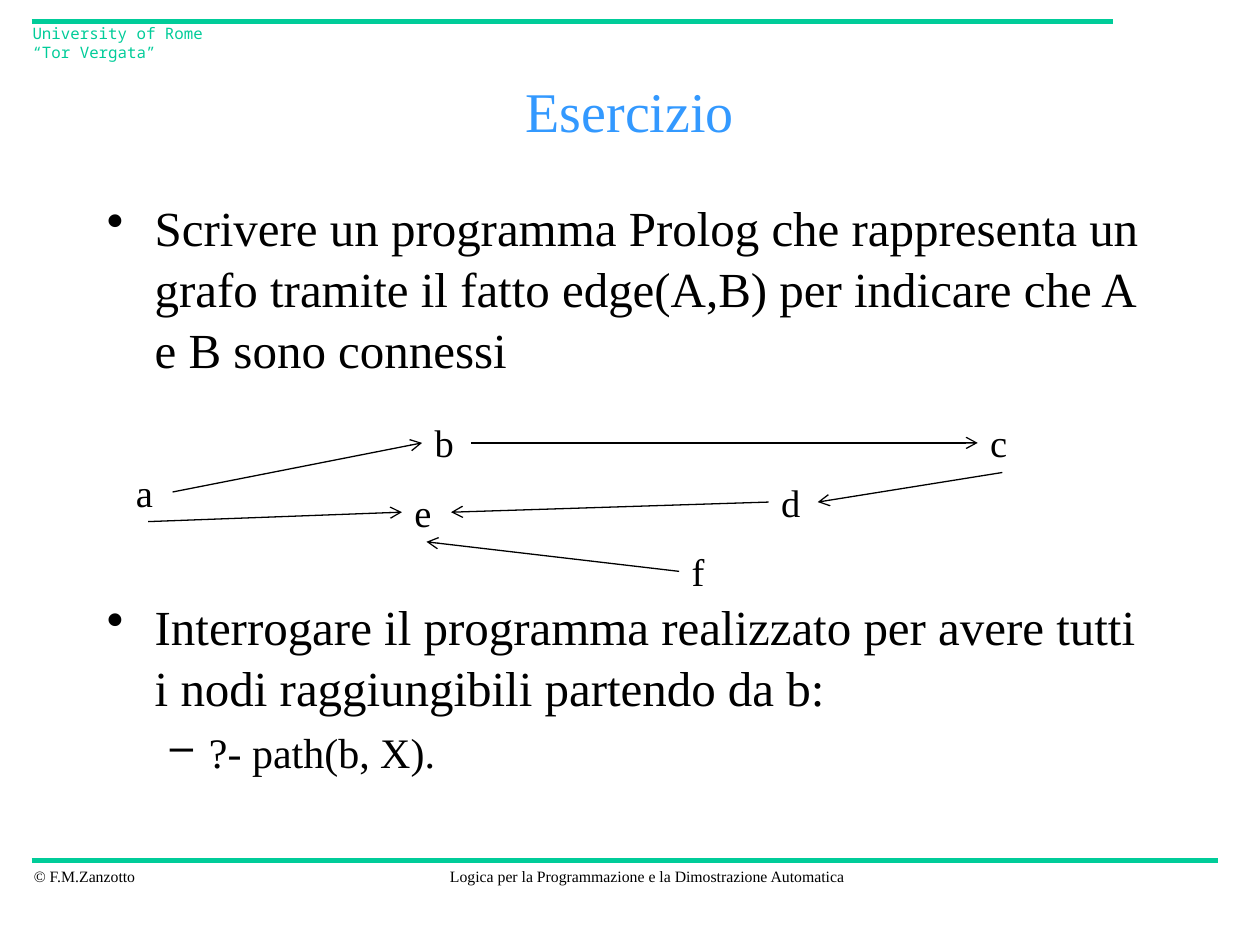
from pptx import Presentation
from pptx.dml.color import RGBColor
from pptx.enum.shapes import MSO_CONNECTOR as Conn
from pptx.enum.text import MSO_ANCHOR as Anchor, PP_ALIGN as Align
from pptx.oxml.ns import qn
from pptx.util import Inches, Pt
from lxml.etree import SubElement

W, H = 10, 7.5
SERIF, MONO = "Times New Roman", "Noto Sans Mono"
BLACK, GREEN, BLUE = "000000", "00CC99", "3399FF"
NODE_W, NODE_H = 0.39, 0.47

# Top left corner of each node of the graph
NODES = {"a": (0.98, 3.67), "b": (3.35, 3.28), "c": (7.76, 3.28),
         "d": (6.1, 3.75), "e": (3.19, 3.83), "f": (5.39, 4.3)}
# Each edge joins a side of one node to a side of another
EDGES = [("a", "right", "b", "left"), ("b", "right", "c", "left"),
         ("a", "bottom", "e", "left"), ("c", "bottom", "d", "right"),
         ("d", "left", "e", "right"), ("f", "left", "e", "bottom")]
SIDES = {"left": (0, 0.5), "right": (1, 0.5), "bottom": (0.5, 1)}


def color(value):
    return RGBColor.from_string(value)


def add_run(p, text, size, fill=BLACK, font=SERIF):
    r = p.add_run()
    r.text = text
    r.font.size, r.font.name = Pt(size), font
    r.font.color.rgb = color(fill)


def add_box(s, x, y, w, h, wrap=True):
    tf = s.shapes.add_textbox(*map(Inches, (x, y, w, h))).text_frame
    tf.word_wrap = wrap
    return tf


def add_line(s, start, end, fill, width, arrow=False):
    line = s.shapes.add_connector(Conn.STRAIGHT, *map(Inches, (*start, *end)))
    line.line.color.rgb = color(fill)
    line.line.width = Pt(width)
    if arrow:
        SubElement(line.line._get_or_add_ln(), qn("a:tailEnd"), type="arrow")
    SubElement(line._element.spPr, qn("a:effectLst"))


def add_bullet(p, mark, text, size, margin, hang, before):
    pPr = p._p.get_or_add_pPr()
    pPr.set("marL", str(Inches(margin)))
    pPr.set("indent", str(-Inches(hang)))
    p.line_spacing = 1.04
    p.space_before = Pt(before)
    SubElement(pPr, qn("a:buChar"), char=mark)
    add_run(p, text, size)


def add_frame(s):
    # Rules, header and footer
    add_line(s, (0.25, 0.17), (8.83, 0.17), GREEN, 3)
    add_line(s, (0.25, 6.83), (9.67, 6.83), GREEN, 3)
    p = add_box(s, 0.16, 0.14, 1.71, 0.25).paragraphs[0]
    add_run(p, "University of Rome", 9, GREEN, MONO)
    p.add_line_break()
    add_run(p, "“Tor Vergata”", 9, GREEN, MONO)
    p = add_box(s, 0.17, 6.83, 1.02, 0.25, False).paragraphs[0]
    add_run(p, "© F.M.Zanzotto", 9)
    p = add_box(s, 3.45, 6.83, 3.37, 0.25, False).paragraphs[0]
    p.alignment = Align.CENTER
    add_run(p, "Logica per la Programmazione e la Dimostrazione Automatica", 9)


def add_content(s):
    # Title
    tf = add_box(s, 0.75, 0.5, W - 1.5, 0.75)
    tf.vertical_anchor = Anchor.MIDDLE
    tf.paragraphs[0].alignment = Align.CENTER
    add_run(tf.paragraphs[0], "Esercizio", 32, BLUE)
    # Tasks, with room for the graph between them
    tf = add_box(s, 0.75, 1.5, W - 1.5, 5.17)
    add_bullet(tf.paragraphs[0], "•", "Scrivere un programma Prolog che rappresenta un "
               "grafo tramite il fatto edge(A,B) per indicare che A e B sono connessi",
               28, 0.38, 0.38, 5.6)
    add_bullet(tf.add_paragraph(), "•", "Interrogare il programma realizzato per avere "
               "tutti i nodi raggiungibili partendo da b:", 28, 0.38, 0.38, 123)
    add_bullet(tf.add_paragraph(), "–", "?- path(b, X).", 24, 0.81, 0.31, 4.8)


def side_point(node, side):
    (x, y), (dx, dy) = NODES[node], SIDES[side]
    return x + dx * NODE_W, y + dy * NODE_H


def add_graph(s):
    for name, (x, y) in NODES.items():
        add_run(add_box(s, x, y, NODE_W, NODE_H).paragraphs[0], name, 22)
    for start, out, end, into in EDGES:
        add_line(s, side_point(start, out), side_point(end, into), BLACK, 0.75, True)


def main():
    prs = Presentation()
    prs.slide_width, prs.slide_height = Inches(W), Inches(H)
    s = prs.slides.add_slide(prs.slide_layouts[6])
    add_frame(s)
    add_content(s)
    add_graph(s)
    prs.save("out.pptx")


if __name__ == "__main__":
    main()
